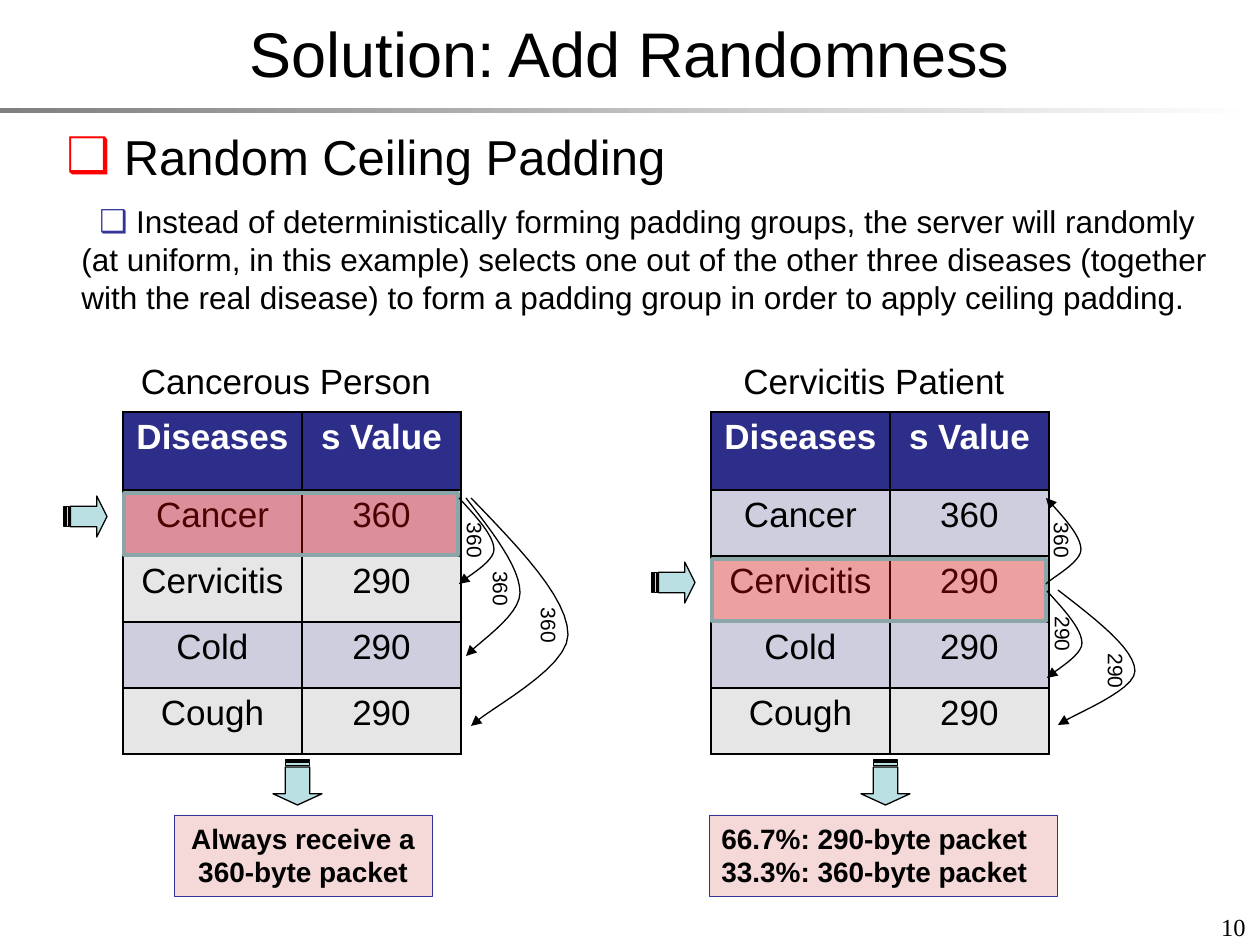
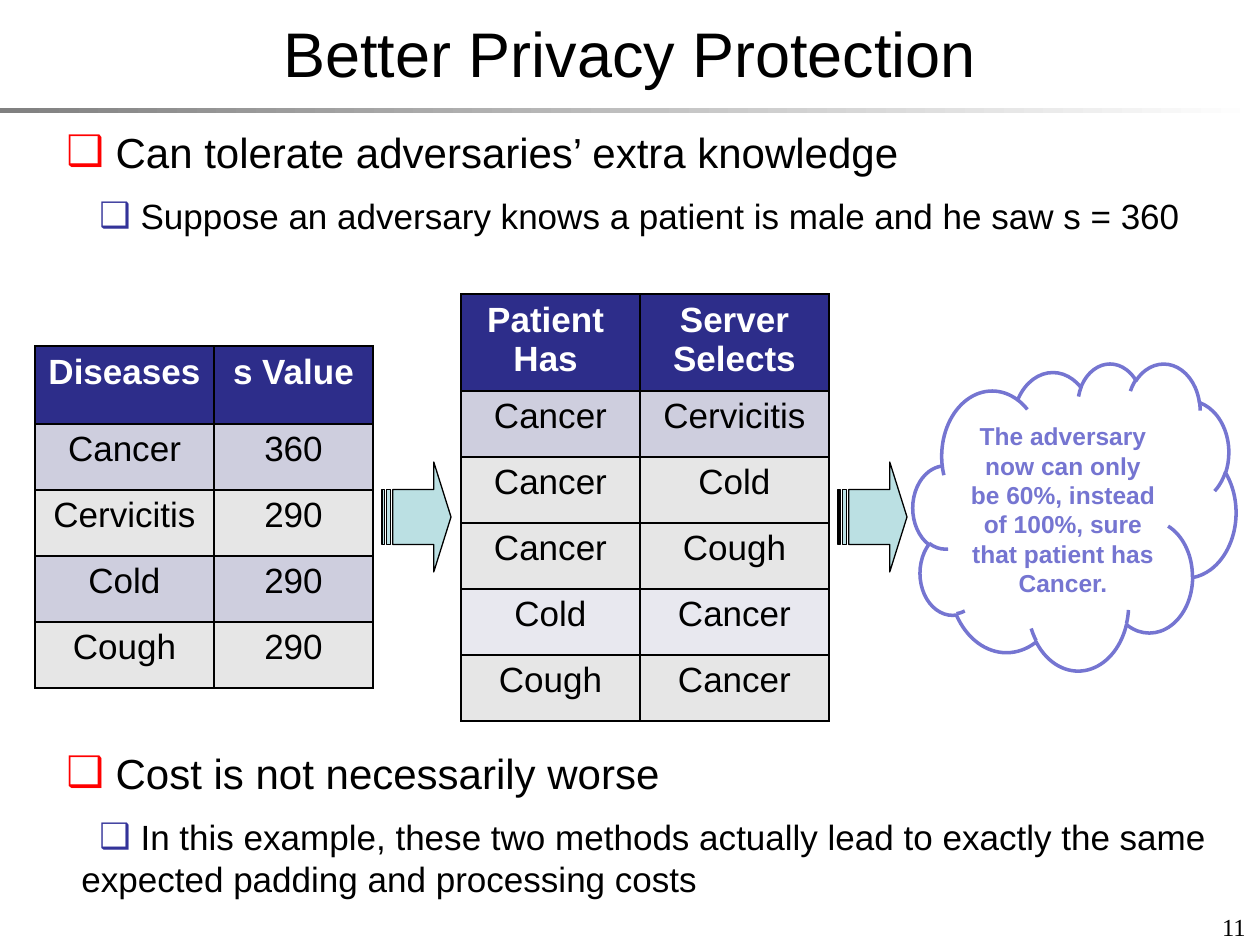
from dataclasses import dataclass

from lxml import etree
from pptx import Presentation
from pptx.dml.color import RGBColor
from pptx.enum.shapes import MSO_SHAPE
from pptx.enum.text import MSO_ANCHOR, PP_ALIGN
from pptx.oxml.ns import qn
from pptx.util import Emu, Pt

EMU_PER_PX = 914400 / 126
RECT, CLOUD = MSO_SHAPE.RECTANGLE, MSO_SHAPE.CLOUD
STRIPED_ARROW = MSO_SHAPE.STRIPED_RIGHT_ARROW
LEFT, CENTER, RIGHT = PP_ALIGN.LEFT, PP_ALIGN.CENTER, PP_ALIGN.RIGHT
TOP, MIDDLE = MSO_ANCHOR.TOP, MSO_ANCHOR.MIDDLE


@dataclass(frozen=True)
class Theme:
    font: str = "Arial"
    number_font: str = "Times New Roman"
    ink: str = "000000"
    white: str = "FFFFFF"
    rule: str = "808080"
    header: str = "2D2D8A"
    lilac: str = "CECEDE"
    pale_lilac: str = "E8E8EF"
    grey: str = "E6E6E6"
    arrow: str = "BBE0E3"
    highlight: str = "FF0000"
    highlight_edge: str = "8AA6A8"
    result: str = "C00000"
    result_edge: str = "333399"
    cloud: str = "7575D1"
    bullets: tuple = ("FF0000", "333399")
    title_size: int = 36
    table_size: int = 20
    result_size: int = 16
    small_size: int = 14
    label_size: int = 12


THEME = Theme()
HEADER_H, ROW_H = 78, 66
VALUE_COLUMNS = (179, 159)
VALUE_ROWS = [("Diseases", "s Value"), ("Cancer", "360"), ("Cervicitis", "290"),
              ("Cold", "290"), ("Cough", "290")]
SELECTION_ROWS = [("Patient \nHas ", "Server\nSelects"), ("Cancer", "Cervicitis"),
                  ("Cancer", "Cold"), ("Cancer", "Cough"), ("Cold", "Cancer"),
                  ("Cough", "Cancer")]
VALUE_FILLS = (THEME.header, THEME.lilac, THEME.grey, THEME.lilac, THEME.grey)
SELECTION_FILLS = (THEME.header, THEME.lilac, THEME.grey, THEME.grey,
                   THEME.pale_lilac, THEME.grey)
# Two cubic segments, as fractions of the width and height of a transition
TRANSITION_CURVE = (((0, 0), (.5, .22), (1, .44), (1, .6)),
                    ((1, .6), (1, .75), (.16, .93), (0, 1)))
CURVE_STEPS = 12
SIZE_LABEL_LENGTH = 36


def px(length):
    return Emu(round(length * EMU_PER_PX))


def rgb(color):
    return RGBColor.from_string(color)


def write(frame, text, size, color=THEME.ink, bold=False, align=LEFT,
          anchor=TOP, font=THEME.font, wrap=True):
    """Fill a text frame, one paragraph for each line of the text."""
    frame.word_wrap = wrap
    frame.vertical_anchor = anchor
    for index, line in enumerate(text.split("\n")):
        paragraph = frame.paragraphs[0] if index == 0 else frame.add_paragraph()
        paragraph.alignment = align
        run = paragraph.add_run()
        run.text = line
        run.font.size, run.font.bold, run.font.name = Pt(size), bold, font
        run.font.color.rgb = rgb(color)


def add_label(slide, box, text, size, **style):
    label = slide.shapes.add_textbox(*map(px, box))
    write(label.text_frame, text, size, **style)


def add_block(slide, preset, box, fill, edge, edge_width, opacity=100):
    block = slide.shapes.add_shape(preset, *map(px, box))
    block.shadow.inherit = False
    block.fill.solid()
    block.fill.fore_color.rgb = rgb(fill)
    if opacity < 100:
        color = block.element.spPr.find(".//" + qn("a:srgbClr"))
        etree.SubElement(color, qn("a:alpha"), val=str(opacity * 1000))
    block.line.color.rgb = rgb(edge)
    block.line.width = Pt(edge_width)
    return block


def add_striped_arrow(slide, box, rotation=0):
    arrow = add_block(slide, STRIPED_ARROW, box, THEME.arrow, THEME.ink, 0.75)
    arrow.adjustments[0], arrow.adjustments[1] = 0.5, 0.25
    arrow.rotation = rotation


def add_frame(prs, title, number):
    """Add a slide with the title, rule and number that all slides share."""
    slide = prs.slides.add_slide(prs.slide_layouts[6])
    rule = slide.shapes.add_shape(RECT, 0, px(108), prs.slide_width, px(5))
    rule.shadow.inherit = False
    rule.line.fill.background()
    rule.fill.gradient()
    rule.fill.gradient_angle = 0
    for stop, color in zip(rule.fill.gradient_stops, (THEME.rule, THEME.white)):
        stop.color.rgb = rgb(color)
    add_label(slide, (964, 905, 294, 44), str(number), THEME.small_size,
              font=THEME.number_font, align=RIGHT, anchor=MIDDLE)
    add_label(slide, (0, 0, 1260, 105), title, THEME.title_size,
              align=CENTER, anchor=MIDDLE)
    return slide


def add_outline(slide, box, topic, detail, topic_size, detail_size):
    """Add a bulleted topic with one bulleted detail below it."""
    frame = slide.shapes.add_textbox(*map(px, box)).text_frame
    write(frame, f"{topic}\n{detail}", topic_size)
    for level, paragraph in enumerate(frame.paragraphs):
        properties = paragraph._p.get_or_add_pPr()
        properties.set("marL", str(px(15 * level)))
        properties.set("indent", str(px(18 * level)))
        color = etree.SubElement(properties, qn("a:buClr"))
        etree.SubElement(color, qn("a:srgbClr"), val=THEME.bullets[level])
        etree.SubElement(properties, qn("a:buFont"), typeface=THEME.font)
        etree.SubElement(properties, qn("a:buChar"), char="❑")
    detail_paragraph = frame.paragraphs[1]
    detail_paragraph.level = 1
    detail_paragraph.space_before = Pt(10)
    detail_paragraph.runs[0].font.size = Pt(detail_size)


def add_cell_borders(cell):
    properties = cell._tc.get_or_add_tcPr()
    for index, side in enumerate(("lnL", "lnR", "lnT", "lnB")):
        border = etree.Element(qn(f"a:{side}"), w=str(Pt(1)))
        solid = etree.SubElement(border, qn("a:solidFill"))
        etree.SubElement(solid, qn("a:srgbClr"), val=THEME.ink)
        properties.insert(index, border)


def add_grid(slide, x, y, rows, fills, columns, header_h=HEADER_H):
    heights = [header_h] + [ROW_H] * (len(rows) - 1)
    box = (x, y, sum(columns), sum(heights))
    table = slide.shapes.add_table(len(rows), len(columns), *map(px, box)).table
    table.horz_banding = False
    for column, width in zip(table.columns, columns):
        column.width = px(width)
    for r, (values, fill, height) in enumerate(zip(rows, fills, heights)):
        table.rows[r].height = px(height)
        for c, value in enumerate(values):
            cell = table.cell(r, c)
            cell.fill.solid()
            cell.fill.fore_color.rgb = rgb(fill)
            write(cell.text_frame, value, THEME.table_size, align=CENTER,
                  color=THEME.ink if r else THEME.white, bold=r == 0)
            add_cell_borders(cell)


def bezier(controls, t):
    weights = ((1 - t) ** 3, 3 * t * (1 - t) ** 2, 3 * t ** 2 * (1 - t), t ** 3)
    return tuple(sum(w * point[axis] for w, point in zip(weights, controls))
                 for axis in (0, 1))


def add_transition(slide, box, size, shift=0, arrow_end="tailEnd"):
    """Add a bulging arrow with its packet size, shift px below mid-height."""
    x, y, w, h = box
    points = [bezier(controls, step / CURVE_STEPS)
              for controls in TRANSITION_CURVE
              for step in range(1, CURVE_STEPS + 1)]
    builder = slide.shapes.build_freeform(px(x), px(y))
    builder.add_line_segments([(px(x + w * u), px(y + h * v)) for u, v in points],
                              close=False)
    curve = builder.convert_to_shape()
    curve.shadow.inherit = False
    curve.fill.background()
    curve.line.color.rgb = rgb(THEME.ink)
    curve.line.width = Pt(0.75)
    etree.SubElement(curve.element.spPr.find(qn("a:ln")), qn(f"a:{arrow_end}"),
                     type="triangle")
    write(curve.text_frame, size, THEME.label_size, wrap=False)
    curve.text_frame.margin_top = px((h - SIZE_LABEL_LENGTH) / 2 + shift)
    curve.text_frame.margin_bottom = 0
    curve.element.find(".//" + qn("a:bodyPr")).set("vert", "eaVert")


def add_case(slide, x, caption, row, transitions, result, result_box, result_align):
    """Add one patient's table with the real disease marked in the given row."""
    y = 412
    row_y = y + HEADER_H + (row - 1) * ROW_H
    add_grid(slide, x, y, VALUE_ROWS, VALUE_FILLS, VALUE_COLUMNS)
    add_label(slide, (x - 9, 353, 344, 55), caption, THEME.table_size, align=CENTER)
    add_striped_arrow(slide, (x - 59, row_y + 6, 43, 41))
    add_block(slide, RECT, (x + 1, row_y + 3, 334, 62), THEME.highlight,
              THEME.highlight_edge, 2, opacity=30)
    for (dx, top, w, h), size, *options in transitions:
        add_transition(slide, (x + dx, top, w, h), size, *options)
    add_striped_arrow(slide, (x + 152, 758, 45, 49), rotation=90)
    left, width = result_box
    outcome = add_block(slide, RECT, (left, 815, width, 81), THEME.result,
                        THEME.result_edge, 0.25, opacity=15)
    write(outcome.text_frame, result, THEME.result_size, bold=True,
          align=result_align)


def build_randomness(prs):
    slide = add_frame(prs, "Solution: Add Randomness", 10)
    add_outline(slide, (54, 120, 1171, 204), " Random Ceiling Padding",
                " Instead of deterministically forming padding groups, the server "
                "will randomly (at uniform, in this example) selects one out of the "
                "other three diseases (together with the real disease) to form a "
                "padding group in order to apply ceiling padding.", 28, 18)
    add_case(slide, 123, "Cancerous Person", 1,
             [((336, 498, 35, 86), "360"),
              ((343, 498, 54, 158), "360", 12),
              ((348, 498, 97, 228), "360", 14)],
             "Always receive a 360-byte packet", (174, 258), CENTER)
    add_case(slide, 711, "Cervicitis Patient", 2,
             [((335, 498, 35, 86), "360", 0, "headEnd"),
              ((347, 590, 77, 135), "290", 14),
              ((336, 591, 35, 87), "290")],
             "66.7%: 290-byte packet\n33.3%: 360-byte packet", (709, 348), LEFT)


def build_protection(prs):
    slide = add_frame(prs, "Better Privacy Protection", 11)
    add_outline(slide, (54, 120, 1171, 123),
                " Can tolerate adversaries’ extra knowledge",
                " Suppose an adversary knows a patient is male and he saw s = 360",
                24, 20)
    add_grid(slide, 35, 346, VALUE_ROWS, VALUE_FILLS, VALUE_COLUMNS)
    add_grid(slide, 461, 294, SELECTION_ROWS, SELECTION_FILLS, (179, 189),
             header_h=97)
    for arrow_x in (382, 838):
        add_striped_arrow(slide, (arrow_x, 462, 69, 110))
    conclusion = add_block(slide, CLOUD, (913, 363, 323, 307), THEME.white,
                           THEME.cloud, 2)
    write(conclusion.text_frame, "The adversary now can only be 60%, instead of "
          "100%, sure that patient has Cancer.", THEME.small_size,
          color=THEME.cloud, bold=True, align=CENTER, anchor=MIDDLE)
    add_outline(slide, (54, 741, 1206, 165), " Cost is not necessarily worse",
                " In this example, these two methods actually lead to exactly the "
                "same expected padding and processing costs", 24, 20)


def main():
    prs = Presentation()
    prs.slide_width, prs.slide_height = px(1260), px(945)
    build_randomness(prs)
    build_protection(prs)
    prs.save("out.pptx")


if __name__ == "__main__":
    main()
